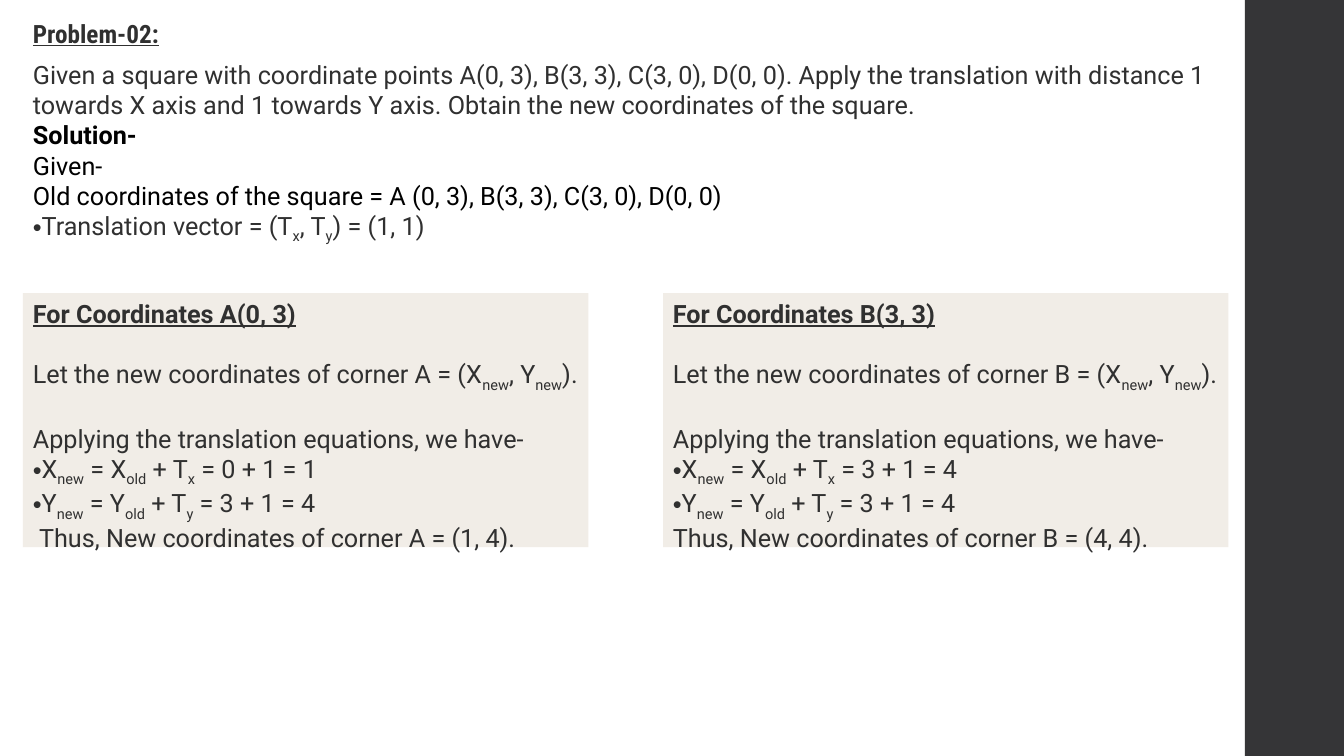
from lxml.etree import SubElement
from pptx import Presentation
from pptx.dml.color import RGBColor as RGB
from pptx.enum.shapes import MSO_SHAPE as SHAPE
from pptx.enum.text import MSO_ANCHOR as ANCHOR, PP_ALIGN as ALIGN
from pptx.oxml.ns import qn
from pptx.util import Cm, Pt

COLORS = {"bar": "353537", "paper": "FFFFFF", "panel": "F1EDE7",
          "text": "303030", "black": "000000"}
BASE = {"size": Pt(18), "name": "Roboto", "bold": False, "underline": False}
HEADING = {"bold": True, "underline": True}
LINE_GAP = Pt(21.5)
LEFT = 0.58


def add_box(slide, x, y, w, h, fill):
    sp = slide.shapes.add_shape(SHAPE.RECTANGLE, Cm(x), Cm(y), Cm(w), Cm(h))
    sp.shadow.inherit = False
    sp.fill.solid()
    sp.fill.fore_color.rgb = RGB.from_string(COLORS[fill])
    sp.line.fill.background()
    return sp


def write(sp, lines):
    """Fill a shape with (text, options) lines; text between bars is subscript."""
    tf = sp.text_frame
    tf.word_wrap = True
    tf.vertical_anchor = ANCHOR.TOP
    for i, (text, options) in enumerate(lines):
        p = tf.paragraphs[0] if i == 0 else tf.add_paragraph()
        add_line(p, text, **options)


def add_line(p, text, color="text", bullet=False, before=0, **font):
    p.alignment = ALIGN.LEFT
    p.space_before = before
    if bullet:
        pPr = p._p.get_or_add_pPr()
        SubElement(pPr, qn("a:buFont"), typeface="Arial")
        SubElement(pPr, qn("a:buChar"), char="•")
    for i, part in enumerate(text.split("|")):
        r = p.add_run()
        r.text = part
        for key, value in {**BASE, **font}.items():
            setattr(r.font, key, value)
        r.font.color.rgb = RGB.from_string(COLORS[color])
        if i % 2:
            r.font._element.set("baseline", "-25000")


def add_corner(slide, x, corner, old, indent=""):
    """Panel that moves one corner of the square by (1, 1)."""
    new_x, new_y = (value + 1 for value in old)
    write(add_box(slide, x, 7.39, 14.25, 6.4, "panel"), [
        (f"For Coordinates {corner}({old[0]}, {old[1]})", HEADING),
        (f"Let the new coordinates of corner {corner} = (X|new|, Y|new|).",
         {"before": LINE_GAP}),
        ("Applying the translation equations, we have-", {"before": LINE_GAP}),
        (f"X|new| = X|old| + T|x| = {old[0]} + 1 = {new_x}", {"bullet": True}),
        (f"Y|new| = Y|old| + T|y| = {old[1]} + 1 = {new_y}", {"bullet": True}),
        (f"{indent}Thus, New coordinates of corner {corner} = ({new_x}, {new_y}).", {}),
    ])


def main():
    prs = Presentation()
    prs.slide_width, prs.slide_height = Cm(33.87), Cm(19.05)
    slide = prs.slides.add_slide(prs.slide_layouts[6])

    # Side bar
    add_box(slide, 31.37, 0, 2.54, 19.05, "bar")

    # Title
    title = slide.shapes.add_textbox(Cm(LEFT), Cm(0.33), Cm(16.94), Cm(1.02))
    write(title, [("Problem-02:", {**HEADING, "name": "Roboto Condensed"})])

    # Problem and given values
    write(add_box(slide, LEFT, 1.37, 30.76, 4.88, "paper"), [
        ("Given a square with coordinate points A(0, 3), B(3, 3), C(3, 0), D(0, 0). "
         "Apply the translation with distance 1 towards X axis and 1 towards Y axis. "
         "Obtain the new coordinates of the square.", {}),
        ("Solution-", {"color": "black", "bold": True}),
        ("Given-", {"color": "black"}),
        ("Old coordinates of the square = A (0, 3), B(3, 3), C(3, 0), D(0, 0)",
         {"color": "black"}),
        ("Translation vector = (T|x|, T|y|) = (1, 1)", {"bullet": True}),
    ])

    # Corner panels
    add_corner(slide, LEFT, "A", (0, 3), indent="\N{NO-BREAK SPACE}")
    add_corner(slide, 16.71, "B", (3, 3))

    prs.save("out.pptx")


if __name__ == "__main__":
    main()
